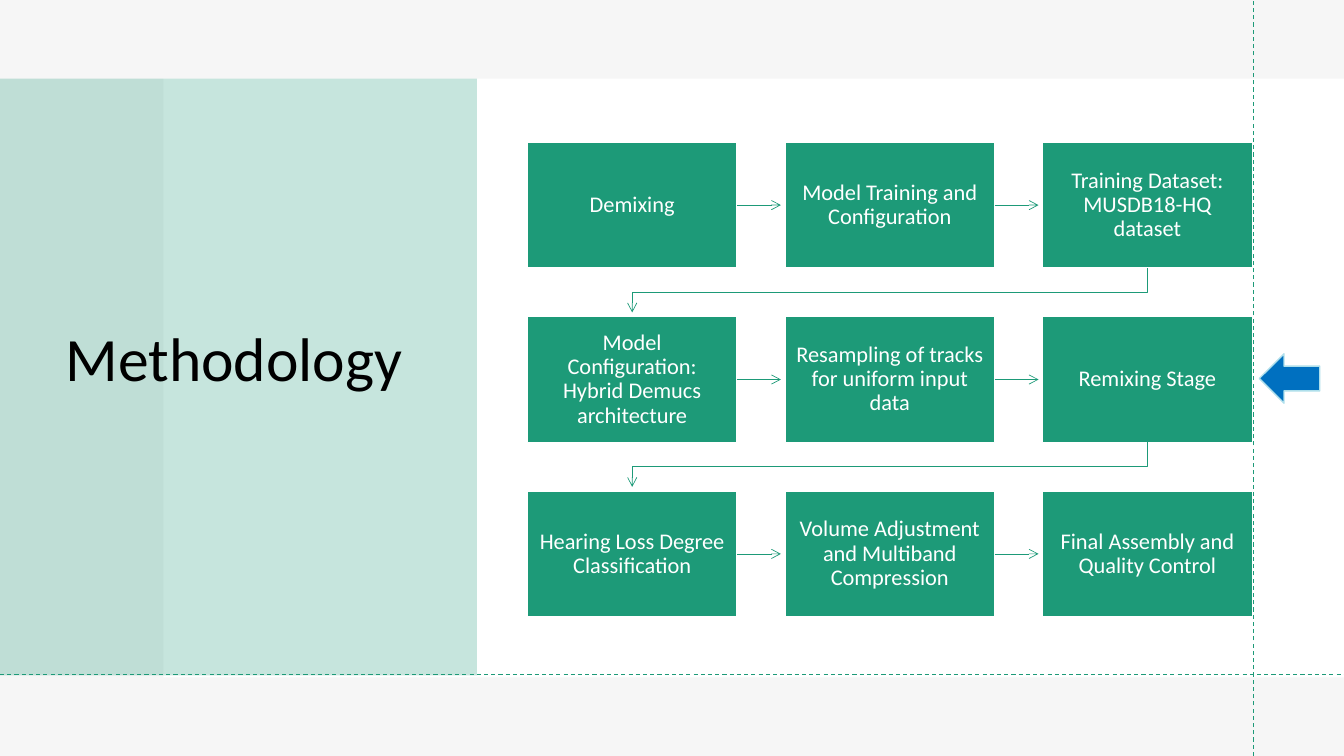
from lxml.etree import SubElement
from pptx import Presentation
from pptx.dml.color import RGBColor
from pptx.enum.dml import MSO_LINE_DASH_STYLE as Dash
from pptx.enum.shapes import MSO_CONNECTOR as Connector, MSO_SHAPE as Shape
from pptx.enum.text import MSO_ANCHOR as Anchor, PP_ALIGN as Align
from pptx.oxml.ns import qn
from pptx.util import Inches, Pt

WHITE = RGBColor(0xFF, 0xFF, 0xFF)
BLACK = RGBColor(0x00, 0x00, 0x00)
GRAY = RGBColor(0xE7, 0xE6, 0xE6)
GREEN = RGBColor(0x1D, 0x9A, 0x78)
BLUE = RGBColor(0x00, 0x70, 0xC0)
PALE_BLUE = RGBColor(0xAF, 0xDF, 0xEB)

WIDTH, HEIGHT = 13.33, 7.5
BOX_WIDTH, BOX_HEIGHT = 2.08, 1.25
GRID_LEFT, GRID_TOP = 5.23, 1.41
COLUMN_STEP, ROW_STEP = 2.555, 1.73
ARROW_GAP = 0.04

STEPS = [
    ["Demixing", "Model Training and Configuration", "Training Dataset: MUSDB18-HQ dataset"],
    ["Model Configuration: Hybrid Demucs architecture",
     "Resampling of tracks for uniform input data", "Remixing Stage"],
    ["Hearing Loss Degree Classification",
     "Volume Adjustment and Multiband Compression", "Final Assembly and Quality Control"],
]


class MethodologyPage:
    font = "Calibri"

    def __init__(self, page):
        self.shapes = page.shapes

    def block(self, left, top, width, height, fill, kind=Shape.RECTANGLE, outline=None, opacity=None):
        block = self.shapes.add_shape(kind, Inches(left), Inches(top), Inches(width), Inches(height))
        block.shadow.inherit = False
        block.fill.solid()
        block.fill.fore_color.rgb = fill
        if opacity is not None:
            color = block._element.spPr.find(qn("a:solidFill"))[0]
            SubElement(color, qn("a:alpha"), val=str(opacity * 1000))
        if outline is None:
            block.line.fill.background()
        else:
            block.line.color.rgb = outline
            block.line.width = Pt(1)
        return block

    def set_text(self, shape, text, size, color, align):
        frame = shape.text_frame
        frame.word_wrap = True
        frame.vertical_anchor = Anchor.MIDDLE
        para = frame.paragraphs[0]
        para.text = text
        para.alignment = align
        para.line_spacing = 0.9
        para.font.name = self.font
        para.font.size = Pt(size)
        para.font.color.rgb = color

    def title(self, text, left, top, width, height):
        box = self.shapes.add_textbox(Inches(left), Inches(top), Inches(width), Inches(height))
        self.set_text(box, text, 44, BLACK, Align.LEFT)

    def step(self, text, left, top):
        box = self.block(left, top, BOX_WIDTH, BOX_HEIGHT, GREEN, outline=WHITE)
        frame = box.text_frame
        frame.margin_left = frame.margin_right = Inches(0.1)
        frame.margin_top = frame.margin_bottom = Inches(0.11)
        self.set_text(box, text, 16, WHITE, Align.CENTER)
        return box

    def line(self, start, end, width):
        line = self.shapes.add_connector(Connector.STRAIGHT, *map(Inches, start + end))
        line.line.color.rgb = GREEN
        line.line.width = Pt(width)
        SubElement(line._element.spPr, qn("a:effectLst"))
        return line

    def guide(self, start, end):
        self.line(start, end, 0.75).line.dash_style = Dash.DASH

    def arrowhead(self, shape):
        outline = shape._element.spPr.find(qn("a:ln"))
        SubElement(outline, qn("a:tailEnd"), type="arrow")

    def next_arrow(self, box, left, top):
        """Point from a step to the one on its right."""
        middle = top + BOX_HEIGHT / 2
        arrow = self.line((left + BOX_WIDTH, middle), (left + COLUMN_STEP - ARROW_GAP, middle), 0.5)
        arrow.begin_connect(box, 3)
        self.arrowhead(arrow)

    def wrap_arrow(self, top):
        """Lead from the last step of a row to the first of the next."""
        first = GRID_LEFT + BOX_WIDTH / 2
        last = first + 2 * COLUMN_STEP
        bottom = top + BOX_HEIGHT
        bend = (bottom + top + ROW_STEP) / 2
        builder = self.shapes.build_freeform(Inches(last), Inches(bottom))
        corners = [(last, bend), (first, bend), (first, top + ROW_STEP - ARROW_GAP)]
        builder.add_line_segments([(Inches(x), Inches(y)) for x, y in corners], close=False)
        arrow = builder.convert_to_shape()
        arrow.shadow.inherit = False
        arrow.fill.background()
        arrow.line.color.rgb = GREEN
        arrow.line.width = Pt(0.5)
        self.arrowhead(arrow)


def main():
    deck = Presentation()
    deck.slide_width, deck.slide_height = Inches(WIDTH), Inches(HEIGHT)
    page = MethodologyPage(deck.slides.add_slide(deck.slide_layouts[6]))

    page.block(0, 0, WIDTH, HEIGHT, WHITE)
    page.block(0, 0, WIDTH, HEIGHT, GRAY, opacity=35)
    page.block(1.62, 0.78, WIDTH - 1.62, 5.94, WHITE)
    page.block(0, 0.78, 4.73, 5.92, GREEN, opacity=25)
    page.title("Methodology", 0.55, 0.74, 3.95, 5.69)
    page.guide((12.43, HEIGHT), (12.43, 0))
    page.guide((0, 6.69), (WIDTH, 6.69))

    for row, texts in enumerate(STEPS):
        top = GRID_TOP + row * ROW_STEP
        for column, text in enumerate(texts):
            left = GRID_LEFT + column * COLUMN_STEP
            box = page.step(text, left, top)
            if column < len(texts) - 1:
                page.next_arrow(box, left, top)
        if row < len(STEPS) - 1:
            page.wrap_arrow(top)

    page.block(12.49, 3.51, 0.6, 0.49, BLUE, Shape.LEFT_ARROW, outline=PALE_BLUE)
    deck.save("out.pptx")


if __name__ == "__main__":
    main()
